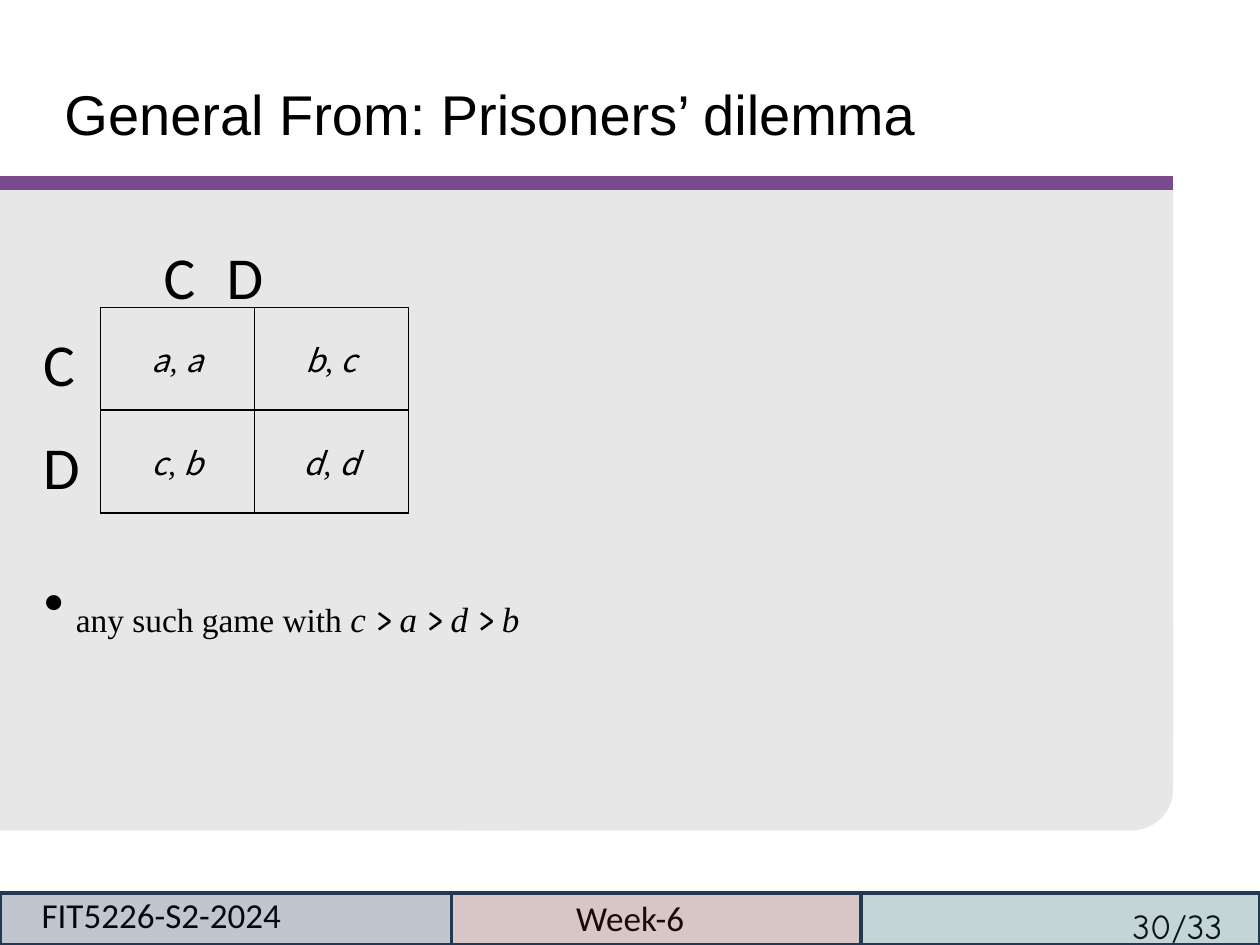
from dataclasses import dataclass

import pptx
import pptx.dml.color
import pptx.enum.shapes
import pptx.enum.text
import pptx.oxml
import pptx.oxml.ns
import pptx.util
from pptx.util import Cm, Pt

ALIGN = pptx.enum.text.PP_ALIGN
ANCHOR = pptx.enum.text.MSO_ANCHOR
SHAPE = pptx.enum.shapes.MSO_SHAPE
BLACK, GREY, PURPLE, NAVY = "000000", "E7E7E7", "794A8C", "233953"
SERIF, MATH = "Times New Roman", "Noto Sans CJK JP"


@dataclass
class Span:
    text: str
    font: str
    size: float
    italic: bool = False
    spacing: int = 0  # hundredths of a point
    baseline: int = 0  # thousandths of a percent


@dataclass
class Box:
    left: float
    top: float
    width: float
    height: float

    def lengths(self) -> tuple:
        return Cm(self.left), Cm(self.top), Cm(self.width), Cm(self.height)


@dataclass
class Panel:
    box: Box
    kind: int = SHAPE.RECTANGLE


@dataclass
class FooterCell:
    box: Box
    color: str


def color(value: str):
    return pptx.dml.color.RGBColor.from_string(value)


def xml(text: str):
    namespace = pptx.oxml.ns.nsdecls("a")
    return pptx.oxml.parse_xml(text.replace(">", f" {namespace}>", 1)
                               if "/>" not in text.split(">")[0] + ">"
                               else text.replace("/>", f" {namespace}/>", 1))


def write(paragraph, spans: list[Span], align=ALIGN.LEFT) -> None:
    paragraph.text = "".join(span.text for span in spans[:1])
    for span in spans[1:]:
        paragraph.add_run().text = span.text
    paragraph.alignment = align
    for run, span in zip(paragraph.runs, spans):
        run.font.name = span.font
        run.font.size = Pt(span.size)
        run.font.italic = span.italic
        run.font.color.rgb = color(BLACK)
        properties = run.font._element
        if span.spacing:
            properties.set("spc", str(span.spacing))
        if span.baseline:
            properties.set("baseline", str(span.baseline))


def add_text(slide, box: Box, spans: list[Span], align=ALIGN.LEFT,
             inset: float = 0, anchor=ANCHOR.TOP, wrap: bool = True):
    frame = slide.shapes.add_textbox(*box.lengths()).text_frame
    frame.word_wrap = wrap
    frame.vertical_anchor = anchor
    frame.margin_left = frame.margin_right = Cm(inset)
    frame.margin_top = frame.margin_bottom = Cm(inset / 2 if inset > 0.2 else inset)
    write(frame.paragraphs[0], spans, align)
    return frame


def add_panel(slide, panel: Panel, fill: str):
    shape = slide.shapes.add_shape(panel.kind, *panel.box.lengths())
    shape.shadow.inherit = False
    shape.fill.solid()
    shape.fill.fore_color.rgb = color(fill)
    shape.line.fill.background()
    return shape


def add_footer_cell(slide, cell: FooterCell) -> None:
    shape = add_panel(slide, Panel(cell.box), cell.color)
    shape.line.color.rgb = color(NAVY)
    shape.line.width = Pt(2)
    fill = shape._element.spPr.find(pptx.oxml.ns.qn("a:solidFill"))
    fill[0].append(xml('<a:alpha val="26000"/>'))


def indent(paragraph, left: float, first: float = 0, tabs=(), bullet: str = "") -> None:
    properties = paragraph._p.get_or_add_pPr()
    properties.set("marL", str(Cm(left)))
    properties.set("indent", str(Cm(first)))
    if bullet:
        properties.append(xml(f'<a:buChar char="{bullet}"/>'))
    stops = "".join(f'<a:tab pos="{Cm(tab)}" algn="l"/>' for tab in tabs)
    if stops:
        properties.append(xml(f"<a:tabLst>{stops}</a:tabLst>"))


def add_payoffs(slide, box: Box, payoffs: list[list[str]]) -> None:
    table_frame = slide.shapes.add_table(len(payoffs), len(payoffs[0]), *box.lengths())
    table = table_frame.table
    table.first_row = table.horz_banding = False
    for row, pairs in enumerate(payoffs):
        for column, (first, second) in enumerate(pairs):
            cell = table.cell(row, column)
            cell.margin_left = cell.margin_right = cell.margin_top = cell.margin_bottom = 0
            cell.vertical_anchor = ANCHOR.MIDDLE
            write(cell.text_frame.paragraphs[0],
                  [Span(first, MATH, 18, True, -20), Span(", ", SERIF, 18, True),
                   Span(second, MATH, 18, True)], ALIGN.CENTER)
            properties = cell._tc.get_or_add_tcPr()
            for side in "LRTB":
                properties.append(xml(
                    f'<a:ln{side} w="{Pt(1)}"><a:solidFill><a:srgbClr val="{BLACK}"/>'
                    f"</a:solidFill></a:ln{side}>"))
            cell.fill.solid()
            cell.fill.fore_color.rgb = color(GREY)


def main() -> None:
    presentation = pptx.Presentation()
    presentation.slide_width, presentation.slide_height = Cm(25.4), Cm(19.05)
    slide = presentation.slides.add_slide(presentation.slide_layouts[6])

    # Grey panel with one rounded corner
    panels = [Panel(Box(0, 3.78, 23.65, 11.08)),
              Panel(Box(8.46, 11.86, 15.19, 4.88), SHAPE.ROUNDED_RECTANGLE),
              Panel(Box(0, 6.96, 10.52, 9.78))]
    for panel in panels:
        shape = add_panel(slide, panel, GREY)
        if panel.kind == SHAPE.ROUNDED_RECTANGLE:
            shape.adjustments[0] = 0.17

    # Course label, rule and title
    add_text(slide, Box(0.69, 17.86, 5.16, 1.14), [Span("FIT5226-S2-2024", "Calibri", 20)],
             inset=0.15, anchor=ANCHOR.MIDDLE, wrap=False)
    rule = slide.shapes.add_connector(pptx.enum.shapes.MSO_CONNECTOR.STRAIGHT,
                                      Cm(0), Cm(3.68), Cm(23.65), Cm(3.68))
    rule.line.color.rgb = color(PURPLE)
    rule.line.width = Pt(8)
    rule._element.spPr.append(xml("<a:effectLst/>"))
    add_text(slide, Box(1.3, 1.6, 24.1, 1.2),
             [Span("General From: Prisoners’ dilemma", "Arial", 32)])

    # Strategy labels around the matrix, then the condition
    frame = add_text(slide, Box(0.84, 4.83, 11.79, 7.8), [Span("\tC\tD", "Calibri", 34)])
    indent(frame.paragraphs[0], 1.19, tabs=(2.41, 5.46))
    for label, gap in (("C", 9.2), ("D", 18.1)):
        paragraph = frame.add_paragraph()
        write(paragraph, [Span(label, "Calibri", 34)])
        indent(paragraph, 0.03)
        paragraph.space_before = Pt(gap)
    condition = [Span("any such game with ", SERIF, 33, baseline=1000)]
    for symbol in "c>a>d>b":
        relation = symbol == ">"
        condition.append(Span(symbol if symbol == "b" else symbol + " ",
                              "Karla" if relation else SERIF, 34.5, not relation,
                              -130 if relation else 10, 1000))
    paragraph = frame.add_paragraph()
    write(paragraph, condition)
    paragraph.space_before = Pt(41)
    indent(paragraph, 0.69, -0.64, (0.69,), "•")

    # Payoff matrix
    add_payoffs(slide, Box(2.03, 6.2, 6.2, 4.14), [["aa", "bc"], ["cb", "dd"]])

    # Footer
    add_text(slide, Box(22.58, 18.11, 3.1, 1.14), [Span("30/33", "Comic Neue", 20)], inset=0.25)
    add_text(slide, Box(8.64, 18.08, 8.13, 0.97), [Span("Week-6", "Calibri", 20)], ALIGN.CENTER)
    for cell in (FooterCell(Box(0, 18, 9.1, 1.05), "0F243E"),
                 FooterCell(Box(9.1, 18, 8.26, 1.05), "632523"),
                 FooterCell(Box(17.36, 18, 8.04, 1.05), "215968")):
        add_footer_cell(slide, cell)

    presentation.save("out.pptx")


if __name__ == "__main__":
    main()
